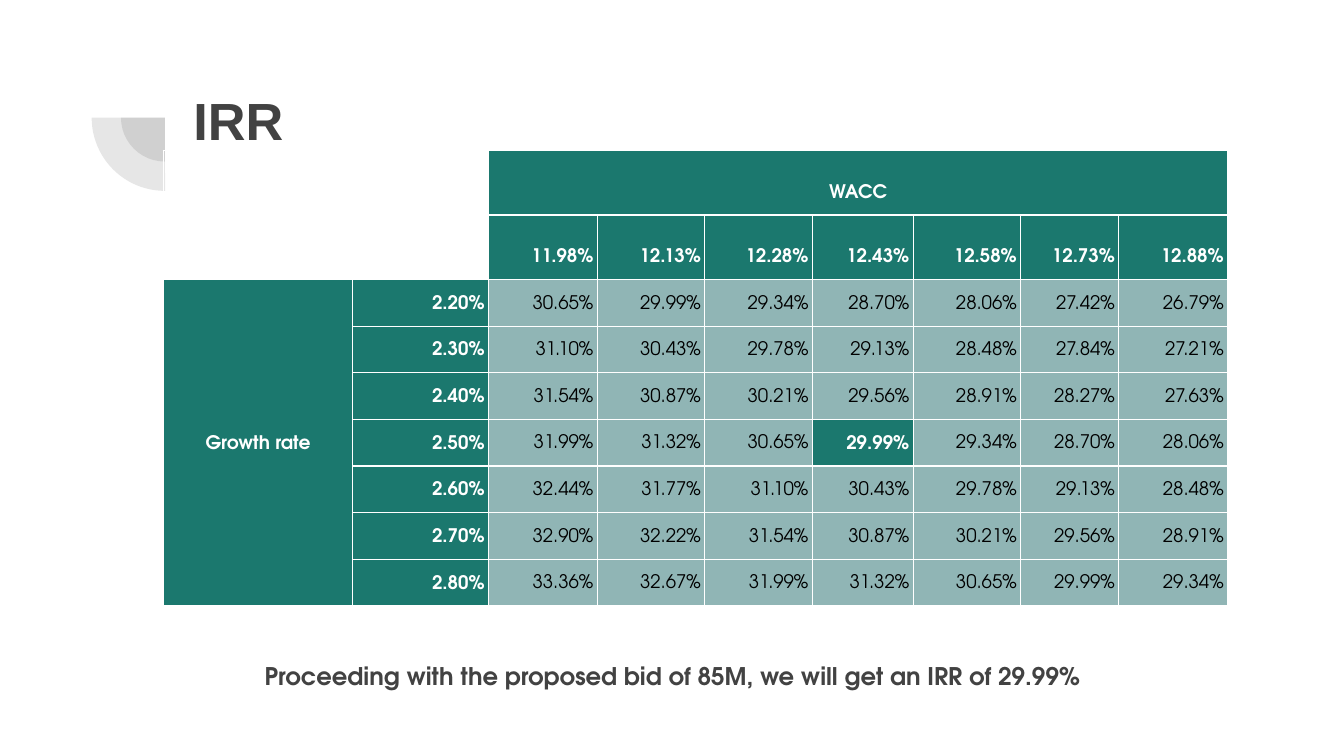
from lxml import etree
from pptx import Presentation
from pptx import util as u
from pptx.dml.color import RGBColor
from pptx.enum import shapes, text
from pptx.oxml import ns

HUE = {"ink": "424242", "head": "1B786E", "cell": "90B5B5", "white": "FFFFFF", "black": "000000"}
FACE = "TeX Gyre Adventor"
WIDE = u.Inches(10)
SIZE = WIDE, WIDE * 9 // 16
UNIT = WIDE / 100

COLS = [14.1, 10.1, 8.1, 8, 8, 7.5, 8, 7.3, 8.1]
ROWS = [4.8] * 2 + [3.47] * 7
WACC = "11.98 12.13 12.28 12.43 12.58 12.73 12.88".split()
RATES = {
    "2.20": "30.65 29.99 29.34 28.70 28.06 27.42 26.79",
    "2.30": "31.10 30.43 29.78 29.13 28.48 27.84 27.21",
    "2.40": "31.54 30.87 30.21 29.56 28.91 28.27 27.63",
    "2.50": "31.99 31.32 30.65 29.99 29.34 28.70 28.06",
    "2.60": "32.44 31.77 31.10 30.43 29.78 29.13 28.48",
    "2.70": "32.90 32.22 31.54 30.87 30.21 29.56 28.91",
    "2.80": "33.36 32.67 31.99 31.32 30.65 29.99 29.34",
}
BASE = (5, 5)


def grid(*cells):
    return [round(n * UNIT) for n in cells]


def tint(name):
    return RGBColor.from_string(HUE[name])


def apply(item, form):
    for key, val in form.items():
        setattr(item, key, val)


def write(para, words, hue, font, form):
    apply(para, form)
    part = para
    if words:
        part = para.add_run()
        part.text = words
    apply(part.font, font)
    part.font.color.rgb = tint(hue)


def dial(slide, box):
    left, top, side = box
    for share in (0.6, 1):
        gap = side * (1 - share) / 2
        pie = slide.shapes.add_shape(
            shapes.MSO_SHAPE.PIE, *grid(left + gap, top + gap, side * share, side * share))
        pie.rotation = 270
        pie.adjustments[0], pie.adjustments[1] = 107.93, 162
        pie.shadow.inherit = False
        pie.line.fill.background()
        pie.fill.solid()
        pie.fill.fore_color.rgb = tint("ink")
        mark = pie.fill._xPr.find(".//" + ns.qn("a:srgbClr"))
        etree.SubElement(mark, ns.qn("a:alpha"), val="13000")


def label(slide, box, words, font, form):
    frame = slide.shapes.add_textbox(*grid(*box)).text_frame
    inset = u.Inches(0.1)
    apply(frame, dict(word_wrap=True, vertical_anchor=text.MSO_ANCHOR.TOP, margin_left=inset,
                      margin_right=inset, margin_top=inset, margin_bottom=inset))
    write(frame.paragraphs[0], words, "ink", font, form)


def edge(cell):
    props = cell._tc.get_or_add_tcPr()
    for spot, side in enumerate(("lnL", "lnR", "lnT", "lnB")):
        line = etree.Element(ns.qn("a:" + side), w=str(u.Pt(0.75)))
        fill = etree.SubElement(line, ns.qn("a:solidFill"))
        etree.SubElement(fill, ns.qn("a:srgbClr"), val=HUE["white"])
        props.insert(spot, line)


def style(cell, words, fill, hue, bold, align, anchor):
    top = 0.1 if anchor == text.MSO_ANCHOR.MIDDLE else 0.05
    apply(cell, dict(margin_left=u.Inches(0.03), margin_right=u.Inches(0.03),
                     margin_top=u.Inches(top), margin_bottom=u.Inches(0.1),
                     vertical_anchor=anchor))
    write(cell.text_frame.paragraphs[0], words, hue,
          dict(name=FACE, size=u.Pt(10), bold=bold),
          dict(alignment=align, line_spacing=1.15))
    if fill:
        cell.fill.solid()
        cell.fill.fore_color.rgb = tint(fill)
    else:
        cell.fill.background()
    edge(cell)


def matrix(slide, box):
    left, top = box
    table = slide.shapes.add_table(
        len(ROWS), len(COLS), *grid(left, top, sum(COLS), sum(ROWS))).table
    apply(table, dict(first_row=False, horz_banding=False))
    for col, size in zip(table.columns, COLS):
        col.width = grid(size)[0]
    for row, size in zip(table.rows, ROWS):
        row.height = grid(size)[0]
    data = [["", "", "WACC"] + [""] * 6, ["", ""] + [n + "%" for n in WACC]]
    for rate, vals in RATES.items():
        data.append([""] + [n + "%" for n in [rate] + vals.split()])
    data[2][0] = "Growth rate"
    for r, line in enumerate(data):
        for c, words in enumerate(line):
            head = r < 2 or c < 2 or (r, c) == BASE
            fill = None if r < 2 and c < 2 else "head" if head else "cell"
            mid = r == 0 or c == 0
            style(table.cell(r, c), words, fill, "white" if head else "black", head,
                  text.PP_ALIGN.CENTER if mid else text.PP_ALIGN.RIGHT,
                  text.MSO_ANCHOR.MIDDLE if (r, c) == (2, 0) else text.MSO_ANCHOR.BOTTOM)
    table.cell(0, 2).merge(table.cell(0, len(COLS) - 1))
    table.cell(2, 0).merge(table.cell(len(ROWS) - 1, 0))


def main():
    deck = Presentation()
    deck.slide_width, deck.slide_height = SIZE
    slide = deck.slides.add_slide(deck.slide_layouts[6])
    dial(slide, (6.82, 3.3, 10.9))
    label(slide, (13.4, 5.6, 76.9, 7.3), "IRR",
          dict(name="Arial", size=u.Pt(28), bold=True), {})
    label(slide, (15.2, 47.9, 69.6, 10.1),
          "Proceeding with the proposed bid of 85M, we will get an IRR of 29.99%",
          dict(name=FACE, size=u.Pt(13), bold=True),
          dict(alignment=text.PP_ALIGN.CENTER, line_spacing=1.15, space_after=u.Pt(12)))
    matrix(slide, (12.15, 11.2))
    deck.save("out.pptx")


if __name__ == "__main__":
    main()
